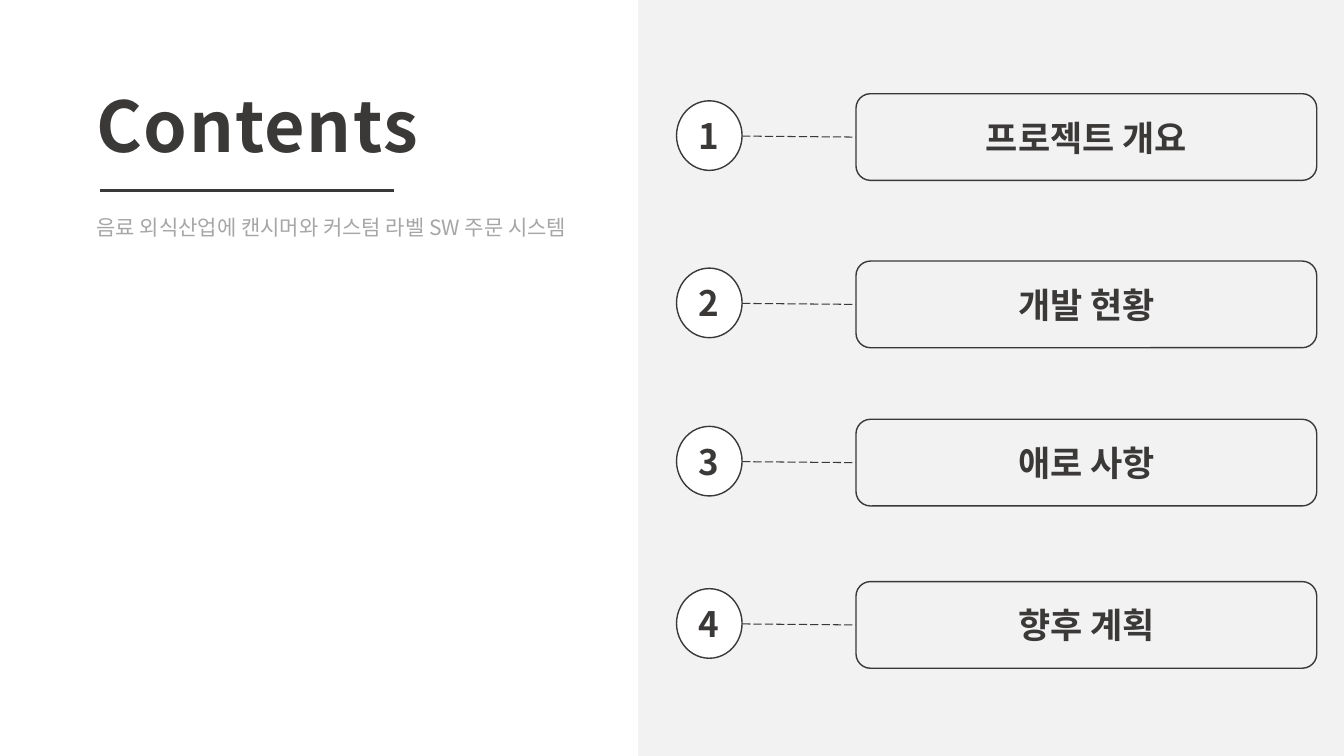
from lxml import etree
from pptx import Presentation
from pptx.dml.color import RGBColor
from pptx.enum.dml import MSO_LINE
from pptx.enum.shapes import MSO_CONNECTOR, MSO_SHAPE
from pptx.enum.text import MSO_ANCHOR, PP_ALIGN
from pptx.oxml.ns import qn
from pptx.util import Inches, Pt

RECTANGLE = MSO_SHAPE.RECTANGLE
OVAL = MSO_SHAPE.OVAL
ROUNDED = MSO_SHAPE.ROUNDED_RECTANGLE
STRAIGHT = MSO_CONNECTOR.STRAIGHT
LONG_DASH = MSO_LINE.LONG_DASH
CENTER = PP_ALIGN.CENTER
MIDDLE = MSO_ANCHOR.MIDDLE

DARK = RGBColor(0x3B, 0x38, 0x38)
GRAY = RGBColor(0xA6, 0xA6, 0xA6)
PANEL = RGBColor(0xF2, 0xF2, 0xF2)
WHITE = RGBColor(0xFF, 0xFF, 0xFF)
FONT = "Noto Sans CJK KR"


def write(shape, text, size, color, bold):
    frame = shape.text_frame
    frame.word_wrap = True
    paragraph = frame.paragraphs[0]
    paragraph.text = text
    font = paragraph.font
    font.name, font.size, font.bold = FONT, Pt(size), bold
    font.color.rgb = color
    properties = paragraph._p.pPr.find(qn("a:defRPr"))
    etree.SubElement(properties, qn("a:ea")).set("typeface", FONT)
    return paragraph


def draw_line(x1, y1, x2, y2, width):
    connector = slide.shapes.add_connector(
        STRAIGHT, Inches(x1), Inches(y1), Inches(x2), Inches(y2))
    connector.line.color.rgb = DARK
    connector.line.width = Pt(width)
    etree.SubElement(connector._element.spPr, qn("a:effectLst"))
    return connector


presentation = Presentation()
presentation.slide_width = Inches(13.33)
presentation.slide_height = Inches(7.5)
slide = presentation.slides.add_slide(presentation.slide_layouts[6])

panel = slide.shapes.add_shape(RECTANGLE, Inches(6.33), 0, Inches(7), Inches(7.5))
panel.shadow.inherit = False
panel.fill.solid()
panel.fill.fore_color.rgb = PANEL
panel.line.fill.background()

title = slide.shapes.add_textbox(Inches(0.86), Inches(0.86), Inches(3.55), Inches(0.89))
paragraph = write(title, "Contents", 50, DARK, True)
paragraph.line_spacing = 0.9
paragraph._p.pPr.find(qn("a:defRPr")).set("spc", "100")

subtitle = slide.shapes.add_textbox(Inches(0.86), Inches(2.08), Inches(5.14), Inches(0.61))
paragraph = write(subtitle, "음료 외식산업에 캔시머와 커스텀 라벨 SW 주문 시스템", 15, GRAY, False)
paragraph.line_spacing = Pt(18)

draw_line(0.99, 1.89, 3.91, 1.89, 2.75)

sections = [("프로젝트 개요", 0.93), ("개발 현황", 2.59), ("애로 사항", 4.16), ("향후 계획", 5.77)]
for number, (heading, top) in enumerate(sections, start=1):
    parts = [
        (OVAL, 6.71, top + 0.07, 0.65, 0.69, WHITE, str(number)),
        (ROUNDED, 8.49, top, 4.57, 0.86, PANEL, heading),
    ]
    draw_line(7.36, top + 0.42, 8.49, top + 0.43, 0.75).line.dash_style = LONG_DASH
    for kind, left, y, width, height, fill, text in parts:
        shape = slide.shapes.add_shape(
            kind, Inches(left), Inches(y), Inches(width), Inches(height))
        shape.shadow.inherit = False
        shape.fill.solid()
        shape.fill.fore_color.rgb = fill
        shape.line.color.rgb = DARK
        shape.line.width = Pt(1)
        shape.text_frame.vertical_anchor = MIDDLE
        write(shape, text, 25, DARK, True).alignment = CENTER

presentation.save("out.pptx")
